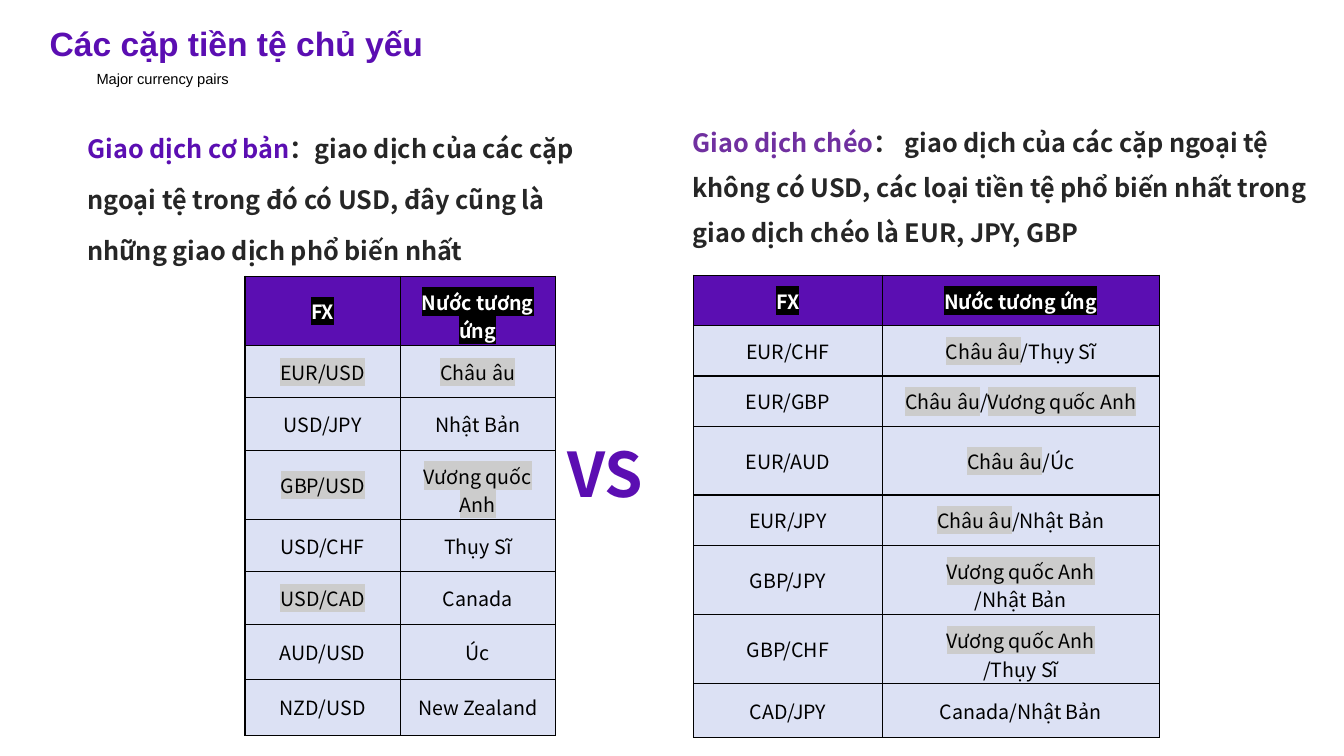
"""Build a slide comparing basic and cross currency pairs."""
from dataclasses import dataclass

from lxml.etree import SubElement
from pptx import Presentation
from pptx.dml.color import RGBColor
from pptx.enum.text import MSO_ANCHOR, MSO_AUTO_SIZE, PP_ALIGN
from pptx.oxml.ns import qn
from pptx.util import Inches, Pt


@dataclass(frozen=True)
class Theme:
    purple: str = "5B0EB2"
    violet: str = "7030A0"
    dark: str = "262626"
    black: str = "000000"
    white: str = "FFFFFF"
    pale: str = "DCE1F4"
    marker: str = "CCCCCC"
    heading_font: str = "Arial"
    body_font: str = "Noto Sans CJK SC"
    title_size: float = 24
    subtitle_size: float = 10.5
    body_size: float = 18
    table_size: float = 14
    versus_size: float = 44


theme = Theme()


def add_span(para, text, font, size, color, bold=False, highlight=None):
    span = para.add_run()
    span.text = text
    for name, value in {"size": Pt(size), "bold": bold}.items():
        setattr(span.font, name, value)
    span.font.color.rgb = RGBColor.from_string(color)
    properties = span.font._element
    if highlight:
        mark = SubElement(properties, qn("a:highlight"))
        SubElement(mark, qn("a:srgbClr"), val=highlight)
    for script in ("a:latin", "a:ea"):
        SubElement(properties, qn(script), typeface=font)


def add_borders(cell):
    properties = cell._tc.get_or_add_tcPr()
    for side in ("a:lnL", "a:lnR", "a:lnT", "a:lnB"):
        line = SubElement(properties, qn(side), w=str(Pt(1)))
        fill = SubElement(line, qn("a:solidFill"))
        SubElement(fill, qn("a:srgbClr"), val=theme.black)


deck = Presentation()
deck.slide_width, deck.slide_height = Inches(13.33), Inches(7.5)
page = deck.slides.add_slide(deck.slide_layouts[5])

title = page.shapes.title
for name, value in {"left": 0.3, "top": 0.18, "width": 4.03, "height": 0.5}.items():
    setattr(title, name, Inches(value))
title_format = {"word_wrap": False, "auto_size": MSO_AUTO_SIZE.NONE,
                "vertical_anchor": MSO_ANCHOR.TOP}
for name, value in title_format.items():
    setattr(title.text_frame, name, value)
title_para = title.text_frame.paragraphs[0]
title_para.alignment = PP_ALIGN.LEFT
add_span(title_para, " Các cặp tiền tệ chủ yếu", theme.heading_font,
         theme.title_size, theme.purple, True)

body = (theme.body_font, theme.body_size)
text_boxes = [
    ((0.86, 0.59, 2.49, 0.33), {"line_spacing": 1.3},
     [("Major currency pairs", theme.heading_font, theme.subtitle_size, theme.black)]),
    ((0.77, 1.06, 5.08, 0.93), {"line_spacing": 1.7, "space_before": Pt(10)},
     [("Giao dịch cơ bản", *body, theme.purple, True),
      ("：giao dịch của các cặp ngoại tệ trong đó có USD, đây cũng là "
       "những giao dịch phổ biến nhất", *body, theme.dark, True)]),
    ((6.77, 1.06, 6.35, 1.23), {"line_spacing": 1.5, "space_before": Pt(10)},
     [("Giao dịch chéo", *body, theme.violet, True),
      ("： giao dịch của các cặp ngoại tệ không có USD, các loại tiền tệ "
       "phổ biến nhất trong giao dịch chéo là EUR, JPY, GBP", *body, theme.dark, True)]),
    ((5.39, 4.28, 1.5, 0.84), {},
     [(" VS", theme.body_font, theme.versus_size, theme.purple, True)]),
]
for place, para_format, spans in text_boxes:
    box = page.shapes.add_textbox(*map(Inches, place))
    box.text_frame.word_wrap = True
    para = box.text_frame.paragraphs[0]
    for name, value in para_format.items():
        setattr(para, name, value)
    for span_values in spans:
        add_span(para, *span_values)

header = ("[FX]", "[Nước tương ứng]")
basic_pairs = [
    header,
    ("[EUR/USD]", "[Châu âu]"),
    ("USD/JPY", "Nhật Bản"),
    ("[GBP/USD]", "[Vương quốc Anh]"),
    ("USD/CHF", "Thụy Sĩ"),
    ("[USD/CAD]", "Canada"),
    ("AUD/USD", "Úc"),
    ("NZD/USD", "New Zealand"),
]
cross_pairs = [
    header,
    ("EUR/CHF", "[Châu âu]/Thụy Sĩ"),
    ("EUR/GBP", "[Châu âu]/[Vương quốc Anh]"),
    ("EUR/AUD", "[Châu âu]/Úc"),
    ("EUR/JPY", "[Châu âu]/Nhật Bản"),
    ("GBP/JPY", "[Vương quốc Anh]\n/Nhật Bản"),
    ("GBP/CHF", "[Vương quốc Anh]\n/Thụy Sĩ"),
    ("CAD/JPY", "Canada/Nhật Bản"),
]
tables = [
    (2.43, 2.74, (1.54, 1.54), [0.52] * 6 + [0.55] * 2, basic_pairs),
    (6.88, 2.73, (1.87, 2.75), [0.5] * 3 + [0.68] + [0.5] * 2 + [0.53] * 2, cross_pairs),
]
cell_format = {"margin_left": Inches(0.07), "margin_right": Inches(0.07),
               "margin_top": Inches(0.11), "margin_bottom": Inches(0.11),
               "vertical_anchor": MSO_ANCHOR.MIDDLE}
for left, top, widths, heights, pairs in tables:
    place = (left, top, sum(widths), sum(heights))
    table = page.shapes.add_table(len(pairs), len(widths), *map(Inches, place)).table
    table.horz_banding = False
    for column, width in zip(table.columns, widths):
        column.width = Inches(width)
    for row_number, (row, height, texts) in enumerate(zip(table.rows, heights, pairs)):
        row.height = Inches(height)
        is_header = row_number == 0
        color = theme.white if is_header else theme.black
        highlight = theme.black if is_header else theme.marker
        for cell, text in zip(row.cells, texts):
            for name, value in cell_format.items():
                setattr(cell, name, value)
            add_borders(cell)
            cell.fill.solid()
            cell.fill.fore_color.rgb = RGBColor.from_string(
                theme.purple if is_header else theme.pale)
            for line_number, line in enumerate(text.split("\n")):
                frame = cell.text_frame
                para = frame.add_paragraph() if line_number else frame.paragraphs[0]
                para.alignment = PP_ALIGN.CENTER
                for part_number, part in enumerate(line.replace("]", "[").split("[")):
                    if part:
                        add_span(para, part, theme.body_font, theme.table_size, color,
                                 is_header, highlight if part_number % 2 else None)

deck.save("out.pptx")
